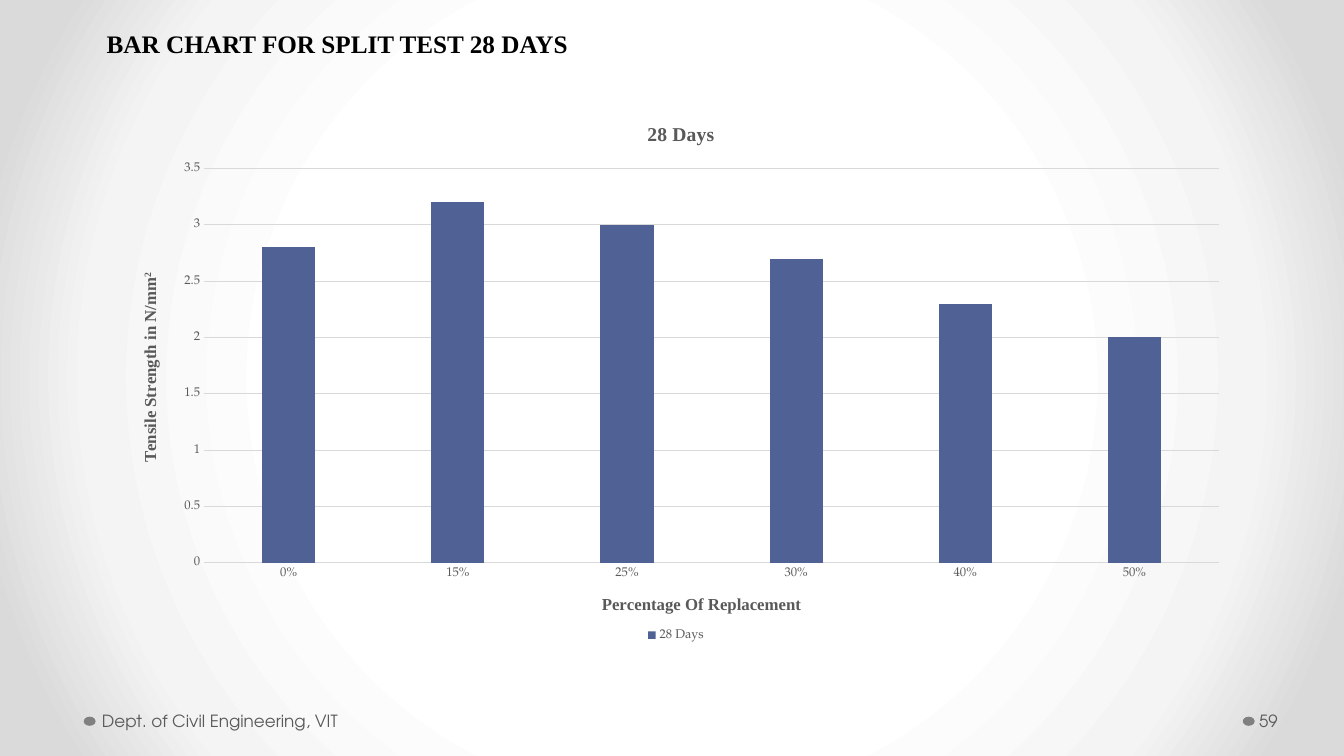
from lxml import etree
from pptx import Presentation
from pptx.chart.data import CategoryChartData
from pptx.dml.color import RGBColor
from pptx.enum.chart import XL_CHART_TYPE, XL_LEGEND_POSITION, XL_TICK_MARK
from pptx.enum.shapes import MSO_SHAPE
from pptx.enum.text import MSO_ANCHOR
from pptx.oxml.ns import qn
from pptx.util import Cm, Pt

COLUMNS = XL_CHART_TYPE.COLUMN_CLUSTERED
LEGEND_BOTTOM = XL_LEGEND_POSITION.BOTTOM
NO_TICK = XL_TICK_MARK.NONE
OVAL = MSO_SHAPE.OVAL
MIDDLE = MSO_ANCHOR.MIDDLE

COLORS = {"black": "000000", "text": "595959", "dot": "808080",
          "grid": "D9D9D9", "bar": "506295"}
BACKGROUND_STOPS = [(50, "FFFFFF"), (76, "F4F4F4"), (92, "DADADA")]
HEADING_FONT = "Times New Roman"
FOOTER_FONT = "TeX Gyre Adventor"
CHART_FONT = "TeX Gyre Pagella"

STRENGTH_BY_REPLACEMENT = {0: 2.8, 0.15: 3.2, 0.25: 3,
                           0.3: 2.7, 0.4: 2.3, 0.5: 2}


def rgb(name):
    return RGBColor.from_string(COLORS[name])


def style_font(font, name, size, color, bold=False):
    font.name = name
    font.size = Pt(size)
    font.bold = bold
    font.color.rgb = rgb(color)


def add_span(para, text, *style, bold=False):
    span = para.add_run()
    span.text = text
    style_font(span.font, *style, bold=bold)
    return span


def paint_background(page):
    """Fill the page with a gradient that spreads from its centre."""
    page.background.fill.gradient()
    gradient = page.element.find(".//" + qn("a:gradFill"))
    for child in list(gradient):
        gradient.remove(child)
    stops = etree.SubElement(gradient, qn("a:gsLst"))
    for position, color in BACKGROUND_STOPS:
        stop = etree.SubElement(stops, qn("a:gs"), pos=str(position * 1000))
        etree.SubElement(stop, qn("a:srgbClr"), val=color)
    circle = etree.SubElement(gradient, qn("a:path"), path="circle")
    centre = {side: "50000" for side in "ltrb"}
    etree.SubElement(circle, qn("a:fillToRect"), centre)


def add_dot(page, left):
    dot = page.shapes.add_shape(OVAL, Cm(left), Cm(18.06), Cm(0.3), Cm(0.23))
    dot.shadow.inherit = False
    dot.fill.solid()
    dot.fill.fore_color.rgb = rgb("dot")
    dot.line.fill.background()


def add_text(page, text, left, top, width, style, bold=False, inset=0.25):
    box = page.shapes.add_textbox(Cm(left), Cm(top), Cm(width), Cm(1.02))
    frame = box.text_frame
    frame.word_wrap = True
    frame.vertical_anchor = MIDDLE
    frame.margin_left = Cm(inset)
    add_span(frame.paragraphs[0], text, *style, bold=bold)


def place(element, **fractions):
    """Set the place of a chart part as fractions of the chart."""
    layout = element.find(qn("c:layout"))
    if layout is None:
        layout = etree.Element(qn("c:layout"))
        element.insert(0 if element.tag == qn("c:plotArea") else 1, layout)
    manual = etree.SubElement(layout, qn("c:manualLayout"))
    if "w" in fractions:
        etree.SubElement(manual, qn("c:layoutTarget"), val="inner")
    for side in "xy":
        etree.SubElement(manual, qn(f"c:{side}Mode"), val="edge")
    for key, value in fractions.items():
        etree.SubElement(manual, qn(f"c:{key}"), val=str(value))


def add_title(owner, text, size):
    para = owner.text_frame.paragraphs[0]
    add_span(para, text, HEADING_FONT, size, "text", bold=True)
    return para


def style_axis(axis, line):
    axis.major_tick_mark = axis.minor_tick_mark = NO_TICK
    style_font(axis.tick_labels.font, CHART_FONT, 9, "text")
    if line:
        draw_line(axis.format.line)
    else:
        axis.format.line.fill.background()


def draw_line(line):
    line.color.rgb = rgb("grid")
    line.width = Pt(0.75)


def add_strength_chart(page):
    data = CategoryChartData()
    data.categories = list(STRENGTH_BY_REPLACEMENT)
    data.categories.number_format = "0%"
    data.add_series("28 Days", list(STRENGTH_BY_REPLACEMENT.values()))
    chart = page.shapes.add_chart(
        COLUMNS, Cm(2.87), Cm(2.54), Cm(28.42), Cm(14.2), data).chart
    style_font(chart.font, CHART_FONT, 10, "black")

    plot = chart.plots[0]
    plot.vary_by_categories = False
    plot.gap_width = 219
    plot.overlap = -27
    fill = plot.series[0].format.fill
    fill.solid()
    fill.fore_color.rgb = rgb("bar")
    place(chart.element.find(".//" + qn("c:plotArea")),
          x=0.08, y=0.12, w=0.9, h=0.7)

    chart.has_title = True
    add_title(chart.chart_title, "28 Days", 14)
    place(chart.chart_title.element, x=0.47, y=0.03)

    replacement = chart.category_axis
    style_axis(replacement, line=True)
    replacement.tick_labels.number_format = "0%"
    replacement.tick_labels.number_format_is_linked = True
    add_title(replacement.axis_title, "Percentage Of Replacement", 12)
    place(replacement.axis_title.element, x=0.43, y=0.87)

    strength = chart.value_axis
    style_axis(strength, line=False)
    strength.minimum_scale, strength.maximum_scale = 0, 3.5
    strength.major_unit = 0.5
    draw_line(strength.major_gridlines.format.line)
    para = add_title(strength.axis_title, "Tensile Strength in N/mm", 12)
    square = add_span(para, "2", HEADING_FONT, 12, "text", bold=True)
    square.font._element.set("baseline", "30000")
    body = strength.axis_title.element.find(".//" + qn("a:bodyPr"))
    body.set("rot", "-5400000")
    body.set("vert", "horz")
    place(strength.axis_title.element, x=0.02, y=0.3)

    chart.has_legend = True
    chart.legend.position = LEGEND_BOTTOM
    chart.legend.include_in_layout = False
    style_font(chart.legend.font, CHART_FONT, 9, "text")
    place(chart.element.find(".//" + qn("c:legend")), x=0.47, y=0.93)


def main():
    deck = Presentation()
    deck.slide_width, deck.slide_height = Cm(33.87), Cm(19.05)
    page = deck.slides.add_slide(deck.slide_layouts[6])
    paint_background(page)
    for left in (31.32, 2.11):
        add_dot(page, left)
    footer = (FOOTER_FONT, 12, "text")
    add_text(page, "Dept. of Civil Engineering, VIT", 2.44, 17.65, 10.54,
             footer, inset=0.13)
    add_text(page, "59", 31.65, 17.65, 2.08, footer, inset=0.08)
    add_strength_chart(page)
    add_text(page, "BAR CHART FOR SPLIT TEST 28 DAYS", 2.44, 0.58, 16.94,
             (HEADING_FONT, 18, "black"), bold=True)
    deck.save("out.pptx")


if __name__ == "__main__":
    main()
